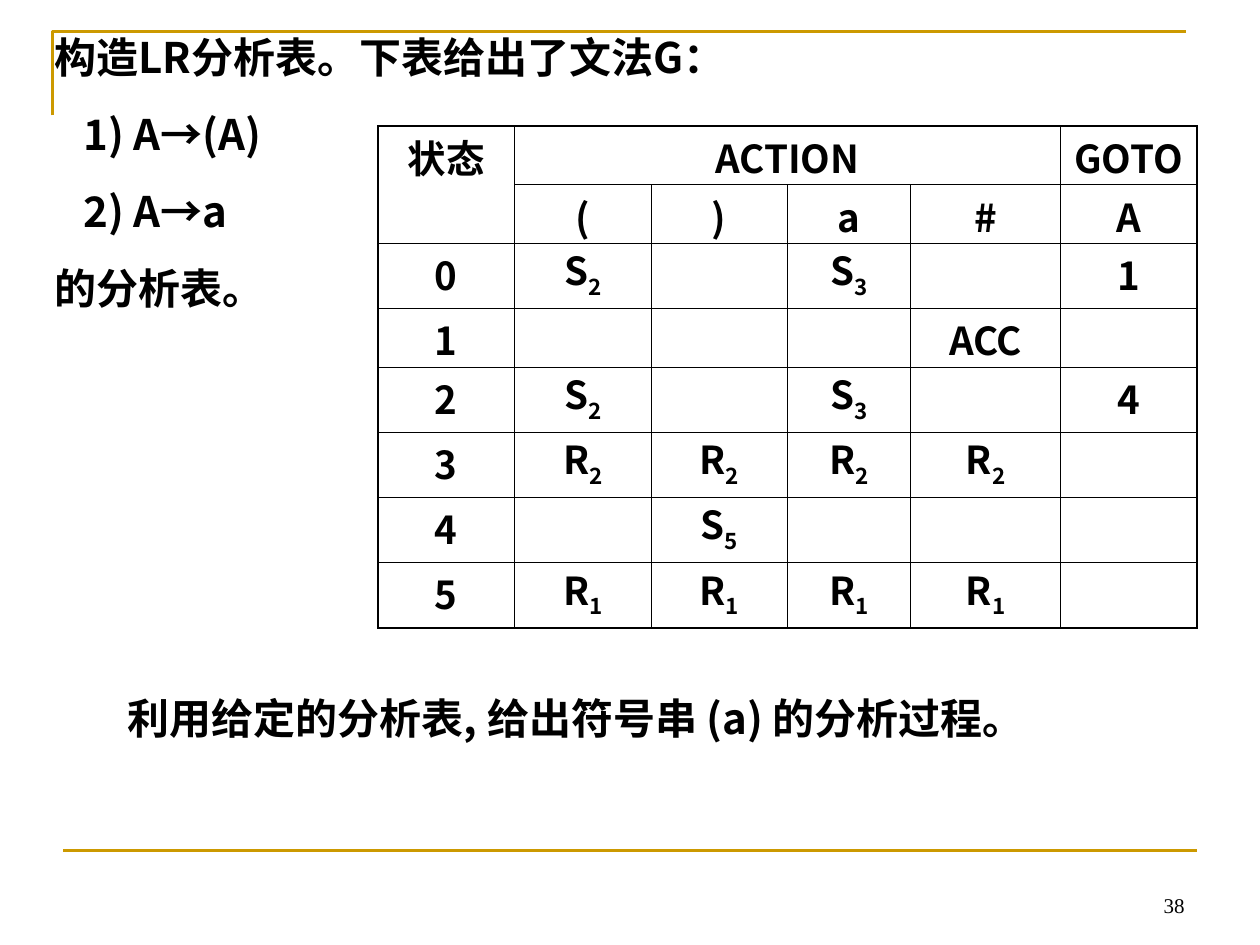
from lxml.etree import SubElement
from pptx import Presentation
from pptx.dml.color import RGBColor as RGB
from pptx.enum.shapes import MSO_CONNECTOR as Link, MSO_SHAPE as Kind
from pptx.enum.text import MSO_ANCHOR as Anchor, PP_ALIGN as Align
from pptx.oxml.ns import qn
from pptx.util import Inches, Pt

BLACK = RGB(0, 0, 0)
WHITE = RGB(255, 255, 255)
GOLD = RGB(0xCC, 0x99, 0)
SANS = "Noto Sans CJK SC"
SERIF = "Times New Roman"


def unit(n):
    """Length of n grid steps: the slide is 120 columns by 90 rows."""
    return Inches(n / 12)


def write(frame, lines, size=24, font=SANS, bold=True, align=Align.JUSTIFY,
          anchor=Anchor.TOP, top=0.08, base=0.05, pitch=29, gap=15, indent=()):
    """Fill a frame; an underscore in a line sets off a subscript."""
    frame.word_wrap = True
    frame.vertical_anchor = anchor
    frame.margin_left = frame.margin_right = Inches(0.1)
    frame.margin_top, frame.margin_bottom = Inches(top), Inches(base)
    for i, line in enumerate(lines):
        para = frame.add_paragraph() if i else frame.paragraphs[0]
        para.alignment = align
        if pitch:
            para.line_spacing = Pt(pitch)
        if i:
            para.space_before = Pt(gap)
        if i in indent:
            para._p.get_or_add_pPr().set("marL", str(Inches(0.23)))
        for j, part in enumerate(line.split("_")):
            run = para.add_run()
            run.text = part
            run.font.size, run.font.bold = Pt(size), bold
            run.font.color.rgb = BLACK
            run.font.name = font
            props = run._r.get_or_add_rPr()
            SubElement(props, qn("a:ea")).set("typeface", font)
            if j:
                props.set("baseline", "-25000")


def edge(cell, side, width):
    line = SubElement(cell._tc.get_or_add_tcPr(), qn("a:ln" + side))
    line.set("w", str(Pt(width)))
    fill = SubElement(line, qn("a:solidFill"))
    SubElement(fill, qn("a:srgbClr")).set("val", str(BLACK))


class Page:
    thick, thin, rule = 1.08, 0.45, 1.5

    def __init__(self, deck):
        self.shapes = deck.slides.add_slide(deck.slide_layouts[6]).shapes

    def ink(self, shape):
        shape.line.color.rgb = GOLD
        shape.line.width = Pt(self.rule)

    def corner(self, points):
        start, *rest = [(unit(x), unit(y)) for x, y in points]
        pen = self.shapes.build_freeform(*start)
        pen.add_line_segments(rest, close=False)
        shape = pen.convert_to_shape()
        shape.shadow.inherit = False
        shape.fill.background()
        self.ink(shape)

    def line(self, *ends):
        link = self.shapes.add_connector(Link.STRAIGHT, *map(unit, ends))
        SubElement(link._element.spPr, qn("a:effectLst"))
        self.ink(link)

    def text(self, area, *lines, **style):
        box = self.shapes.add_textbox(*map(unit, area))
        write(box.text_frame, lines, **style)

    def panel(self, area, *lines, **style):
        box = self.shapes.add_shape(Kind.RECTANGLE, *map(unit, area))
        box.shadow.inherit = False
        box.fill.solid()
        box.fill.fore_color.rgb = WHITE
        box.line.fill.background()
        write(box.text_frame, lines, **style)

    def table(self, left, top, cols, rows, data, spans):
        frame = self.shapes.add_table(len(rows), len(cols), unit(left), unit(top),
                                      unit(sum(cols)), unit(sum(rows)))
        grid = frame.table
        grid.first_row = grid.horz_banding = False
        for col, width in zip(grid.columns, cols):
            col.width = unit(width)
        for row, height in zip(grid.rows, rows):
            row.height = unit(height)
        for first, last in spans:
            grid.cell(*first).merge(grid.cell(*last))
        for r, row in enumerate(data):
            for c, word in enumerate(row):
                cell = grid.cell(r, c)
                outer = {"L": c == 0, "R": c == len(cols) - 1,
                         "T": r == 0, "B": r == len(rows) - 1}
                for side, out in outer.items():
                    edge(cell, side, self.thick if out else self.thin)
                cell.fill.solid()
                cell.fill.fore_color.rgb = WHITE
                cell.margin_top, cell.margin_bottom = Inches(0.13), 0
                if word:
                    write(cell.text_frame, [word], size=22, align=Align.CENTER,
                          pitch=24)
                    cell.margin_top, cell.margin_bottom = Inches(0.13), 0
                else:
                    cell.text_frame.paragraphs[0].font.size = Pt(16)


def main():
    deck = Presentation()
    deck.slide_width, deck.slide_height = unit(120), unit(90)
    page = Page(deck)

    # Frame lines and page number
    page.corner([(5, 11), (5, 3), (113, 3)])
    page.line(6, 81, 114, 81)
    page.text((86, 82, 28, 6), "38", size=12, font=SERIF, bold=False,
              align=Align.RIGHT, anchor=Anchor.BOTTOM, top=0.05, pitch=None)

    # Grammar
    page.text((4, 2, 116, 28), "构造LR分析表。下表给出了文法G：",
              "1) A→(A)", "2) A→a", "的分析表。", indent=(1, 2))

    # LR parsing table
    low, high = 5.6, 6.2
    page.table(36, 12, [13, 13, 13, 11.75, 14.25, 13],
               [low, low, high, low] + [high] * 4,
               [["状态", "ACTION", "", "", "", "GOTO"],
                ["", "(", ")", "a", "#", "A"],
                ["0", "S_2", "", "S_3", "", "1"],
                ["1", "", "", "", "ACC", ""],
                ["2", "S_2", "", "S_3", "", "4"],
                ["3"] + ["R_2"] * 4 + [""],
                ["4", "", "S_5", "", "", ""],
                ["5"] + ["R_1"] * 4 + [""]],
               spans=[((0, 0), (1, 0)), ((0, 1), (0, 4))])

    # Task
    page.panel((11, 65, 106, 6), "利用给定的分析表, 给出符号串 (a) 的分析过程。")

    deck.save("out.pptx")


if __name__ == "__main__":
    main()
